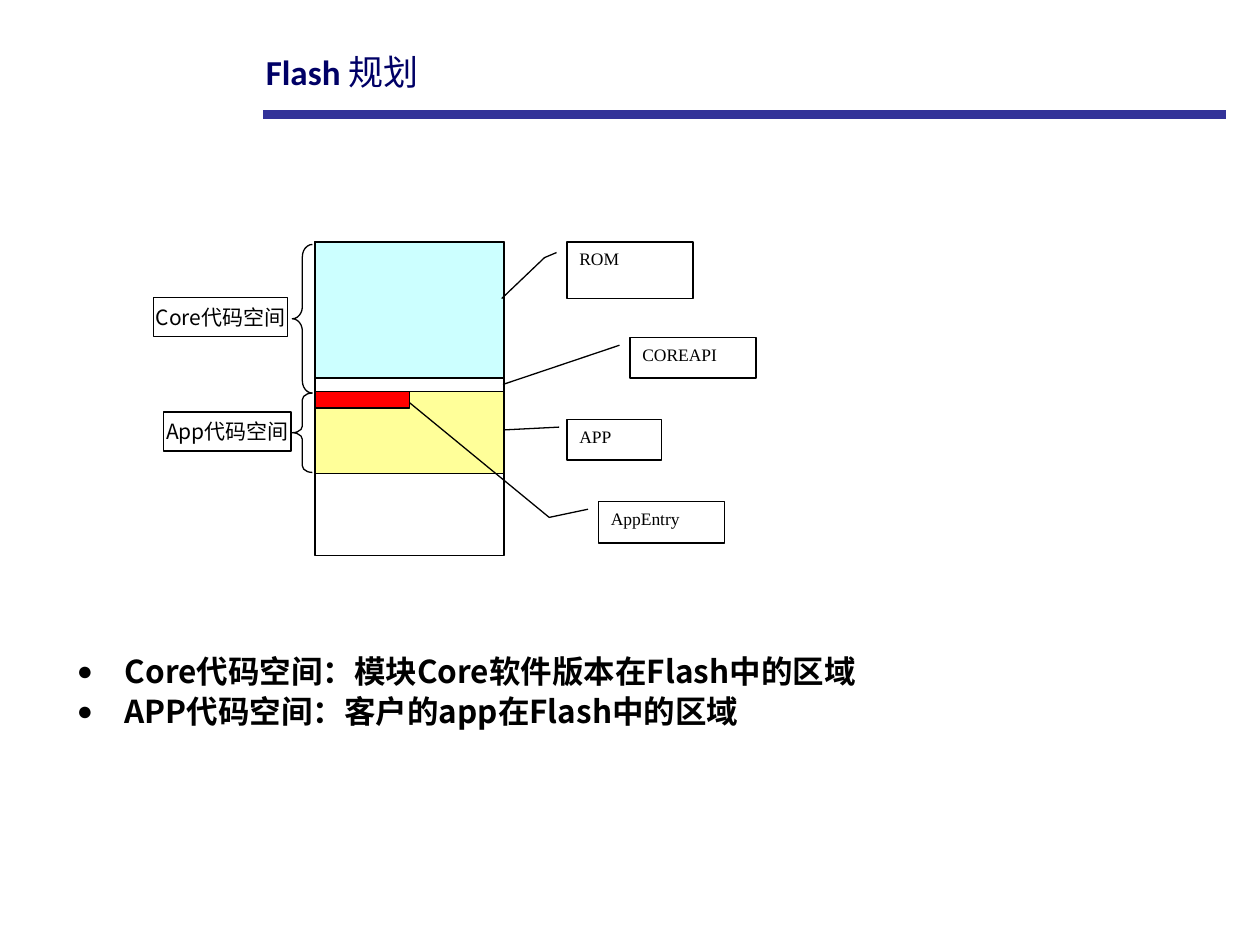
from dataclasses import dataclass

from lxml import etree
from pptx import Presentation
from pptx.dml.color import RGBColor
from pptx.enum import shapes, text
from pptx.oxml.ns import qn
from pptx.util import Emu, Pt

PX = 9144
SHAPE = shapes.MSO_SHAPE


@dataclass(frozen=True)
class Theme:
    """Colours, fonts and sizes of the slide."""

    ink: str = "000000"
    paper: str = "FFFFFF"
    title: str = "000066"
    rule: str = "333399"
    rom: str = "CCFFFF"
    app: str = "FFFF99"
    entry: str = "FF0000"
    latin: str = "Calibri"
    serif: str = "Times New Roman"
    chinese: str = "Noto Sans CJK SC"
    title_size: float = 20
    body_size: float = 18
    label_size: float = 12
    callout_size: float = 10
    outline: float = 0.75
    rule_width: float = 5.25


THEME = Theme()


def px(*lengths):
    """Turn pixel lengths into EMU."""
    return [Emu(length * PX) for length in lengths]


def style_run(run, font, size, color=THEME.ink, bold=False):
    """Set the font, size, colour and weight of a run."""
    run.font.name, run.font.size, run.font.bold = font, Pt(size), bold
    run.font.color.rgb = RGBColor.from_string(color)
    east_asian = etree.SubElement(run._r.get_or_add_rPr(), qn("a:ea"))
    east_asian.set("typeface", font)


def place(shape, box):
    """Move a placeholder to a box."""
    shape.left, shape.top, shape.width, shape.height = px(*box)
    shape.text_frame.auto_size = text.MSO_AUTO_SIZE.NONE


def add_line(slide, start, end, color=THEME.ink, width=THEME.outline):
    """Draw a straight line without a shadow."""
    line = slide.shapes.add_connector(
        shapes.MSO_CONNECTOR.STRAIGHT, *px(*start, *end))
    line.line.color.rgb = RGBColor.from_string(color)
    line.line.width = Pt(width)
    etree.SubElement(line._element.spPr, qn("a:effectLst"))


def add_outlined(slide, kind, box, fill=None, adjustments=()):
    """Draw a black-outlined preset shape, filled if a colour is given."""
    shape = slide.shapes.add_shape(kind, *px(*box))
    shape.shadow.inherit = False
    shape.line.color.rgb = RGBColor.from_string(THEME.ink)
    shape.line.width = Pt(THEME.outline)
    if fill:
        shape.fill.solid()
        shape.fill.fore_color.rgb = RGBColor.from_string(fill)
    else:
        shape.fill.background()
    for index, value in enumerate(adjustments):
        shape.adjustments[index] = value
    return shape


def write_label(shape, wording, font, size, align, anchor, space, wrap):
    """Write one formatted paragraph into a shape."""
    frame = shape.text_frame
    frame.text = wording
    frame.word_wrap, frame.vertical_anchor = wrap, anchor
    paragraph = frame.paragraphs[0]
    paragraph.alignment, paragraph.space_before = align, Pt(space)
    style_run(paragraph.runs[0], font, size)


def add_title(slide, box):
    """Fill the title placeholder and draw the rule below it."""
    left, top, width, height = box
    rule_y = top + height + 7
    add_line(slide, (left + 8, rule_y), (left + width + 23, rule_y),
             THEME.rule, THEME.rule_width)
    title = slide.shapes.title
    place(title, box)
    title.text_frame.vertical_anchor = text.MSO_ANCHOR.MIDDLE
    paragraph = title.text_frame.paragraphs[0]
    paragraph.text = "Flash "
    paragraph.alignment = text.PP_ALIGN.LEFT
    paragraph.add_run().text = "规划"
    latin, chinese = paragraph.runs
    style_run(latin, THEME.latin, THEME.title_size, THEME.title, True)
    style_run(chinese, THEME.chinese, THEME.title_size, THEME.title)


def add_bullets(slide, box, lines):
    """Fill the body placeholder with a bulleted list."""
    body = slide.placeholders[1]
    place(body, box)
    body.text_frame.text = "\n".join(lines)
    for paragraph in body.text_frame.paragraphs:
        paragraph.line_spacing, paragraph.space_before = 0.85, Pt(4.5)
        style_run(paragraph.runs[0], THEME.chinese, THEME.body_size, bold=True)
        properties = paragraph._p.get_or_add_pPr()
        properties.set("marL", str(38 * PX))
        properties.set("indent", str(-38 * PX))
        color = etree.SubElement(properties, qn("a:buClr"))
        etree.SubElement(color, qn("a:srgbClr")).set("val", THEME.ink)
        etree.SubElement(properties, qn("a:buSzPct")).set("val", "85000")
        etree.SubElement(properties, qn("a:buChar")).set("char", "●")


def add_memory_map(slide, box):
    """Draw the flash block with its dividers and coloured regions."""
    left, top, width, height = box
    api_y, app_y, free_y = 108, 119, 184
    add_outlined(slide, SHAPE.RECTANGLE, box, THEME.paper)
    for offset in (api_y, app_y, free_y):
        add_line(slide, (left, top + offset), (left + width, top + offset))
    regions = (
        (0, width, api_y, THEME.rom),
        (app_y, width, free_y - app_y, THEME.app),
        (app_y, width // 2, 13, THEME.entry),
    )
    for offset, region_width, region_height, color in regions:
        add_outlined(slide, SHAPE.RECTANGLE,
                     (left, top + offset, region_width, region_height), color)


def add_callouts(slide, box):
    """Draw the callouts on the right, placed from the map's top right corner."""
    left, top = box[0] + box[2], box[1]
    callouts = (
        ("ROM", (50, 0, 100, 45), (0.277, -0.178, 0.998, -0.518)),
        ("COREAPI", (100, 76, 100, 32), (1.16, -1.008)),
        ("APP", (50, 141, 75, 32), (0.256, -0.663)),
        ("AppEntry", (75, 206, 100, 33), (0.385, -0.391, -2.372, -1.498)),
    )
    for wording, (x, y, width, height), bends in callouts:
        kind = SHAPE.LINE_CALLOUT_2 if len(bends) == 4 else SHAPE.LINE_CALLOUT_1
        shape = add_outlined(slide, kind, (left + x, top + y, width, height),
                             THEME.paper, (0.188, -0.083, *bends))
        write_label(shape, wording, THEME.serif, THEME.callout_size,
                    text.PP_ALIGN.JUSTIFY, text.MSO_ANCHOR.TOP, 2.5, True)


def add_braces(slide, box):
    """Draw the braces and their labels left of the map."""
    left, top = box[:2]
    spaces = (
        ("Core代码空间", (-128, 44, 106, 31), (2, 118), 0.61),
        ("App代码空间", (-120, 135, 101, 31), (120, 63), 0.33),
    )
    for wording, (x, y, width, height), (brace_y, brace_height), curve in spaces:
        add_outlined(slide, SHAPE.LEFT_BRACE,
                     (left - 18, top + brace_y, 16, brace_height),
                     adjustments=(curve, 0.5))
        label = add_outlined(slide, SHAPE.RECTANGLE,
                             (left + x, top + y, width, height))
        write_label(label, wording, THEME.chinese, THEME.label_size,
                    text.PP_ALIGN.CENTER, text.MSO_ANCHOR.MIDDLE, 3, False)


def main():
    """Build the flash layout slide."""
    presentation = Presentation()
    presentation.slide_width, presentation.slide_height = px(1000, 750)
    slide = presentation.slides.add_slide(presentation.slide_layouts[1])
    add_title(slide, (201, 30, 749, 54))
    add_bullets(slide, (51, 517, 900, 95), (
        "Core代码空间：模块Core软件版本在Flash中的区域",
        "APP代码空间：客户的app在Flash中的区域",
    ))
    map_box = (250, 192, 150, 249)
    add_memory_map(slide, map_box)
    add_callouts(slide, map_box)
    add_braces(slide, map_box)
    presentation.save("out.pptx")


if __name__ == "__main__":
    main()
